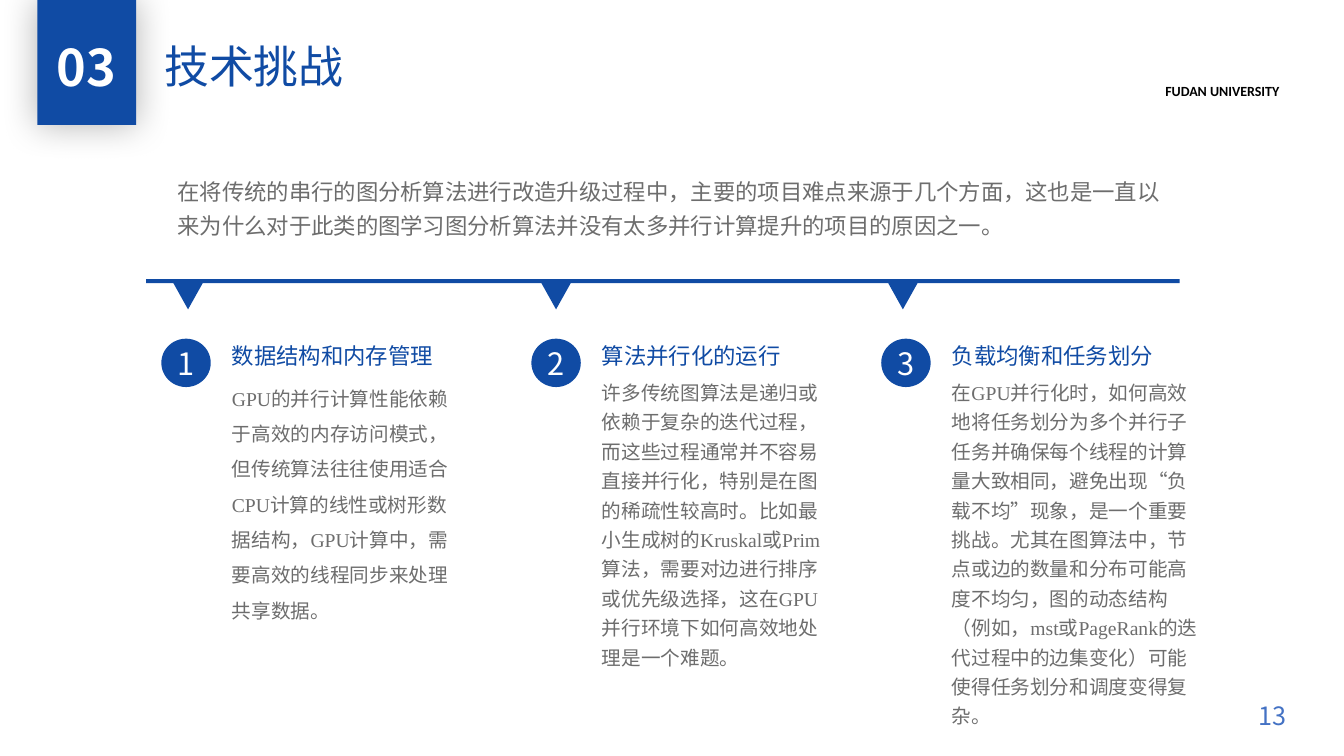
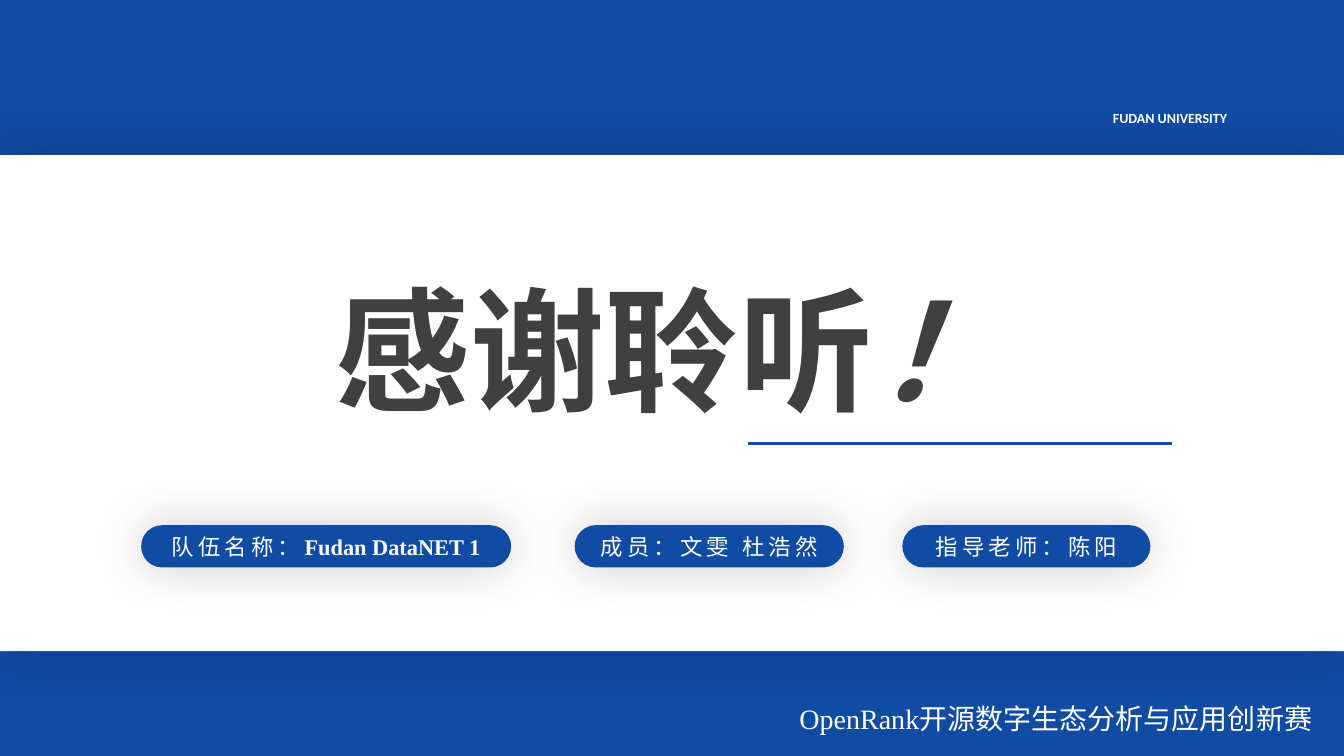
from lxml import etree
from pptx import Presentation
from pptx.dml.color import RGBColor
from pptx.enum.shapes import MSO_CONNECTOR, MSO_SHAPE
from pptx.enum.text import MSO_ANCHOR, MSO_AUTO_SIZE, PP_ALIGN
from pptx.oxml.ns import qn
from pptx.util import Inches, Pt

BLUE = RGBColor(0x10, 0x4B, 0xA4)
PAGE_BLUE = RGBColor(0x44, 0x72, 0xC4)
WHITE = RGBColor(0xFF, 0xFF, 0xFF)
BLACK = RGBColor(0x00, 0x00, 0x00)
GREY = RGBColor(0x6D, 0x6D, 0x6D)
DARK = RGBColor(0x40, 0x40, 0x40)

SANS = "Noto Sans CJK SC"
HEADING = "Noto Sans CJK TC"
SERIF = "Times New Roman"
LABEL = "Calibri"

RECTANGLE = MSO_SHAPE.RECTANGLE
PILL = MSO_SHAPE.ROUNDED_RECTANGLE
CIRCLE = MSO_SHAPE.OVAL
POINTER = MSO_SHAPE.FLOWCHART_MERGE
STRAIGHT = MSO_CONNECTOR.STRAIGHT
TOP, MIDDLE = MSO_ANCHOR.TOP, MSO_ANCHOR.MIDDLE
LEFT, CENTER, RIGHT = PP_ALIGN.LEFT, PP_ALIGN.CENTER, PP_ALIGN.RIGHT
JUSTIFY = PP_ALIGN.JUSTIFY
NO_AUTOFIT = MSO_AUTO_SIZE.NONE

SLIDE_WIDTH, SLIDE_HEIGHT = 13.33, 7.5

INTRODUCTION = (
    "在将传统的串行的图分析算法进行改造升级过程中，主要的项目难点来源于几个方面，"
    "这也是一直以来为什么对于此类的图学习图分析算法并没有太多并行计算提升的项目的原因之一。"
)

# Column left, pointer left, heading width, text width, line spacing, heading, text runs
CHALLENGES = [
    (1.6, 1.72, 2.03, 2.29, 1.5, "数据结构和内存管理", [
        "GPU",
        "的并行计算性能依赖于高效的内存访问模式，但传统算法往往使用适合",
        "CPU",
        "计算的线性或树形数据结构，",
        "GPU",
        "计算中，需要高效的线程同步来处理共享数据。",
    ]),
    (5.27, 5.37, 2.03, 2.26, 1.25, "算法并行化的运行", [
        "许多传统图算法是递归或依赖于复杂的迭代过程，而这些过程通常并不容易直接并行化，"
        "特别是在图的稀疏性较高时。比如最小生成树的",
        "Kruskal",
        "或",
        "Prim",
        "算法，需要对边进行排序或优先级选择，这在",
        "GPU",
        "并行环境下如何高效地处理是一个难题。",
    ]),
    (8.74, 8.81, 2.35, 2.51, 1.25, "负载均衡和任务划分", [
        "在",
        "GPU",
        "并行化时，如何高效地将任务划分为多个并行子任务并确保每个线程的计算量大致相同，"
        "避免出现“负载不均”现象，是一个重要挑战。尤其在图算法中，"
        "节点或边的数量和分布可能高度不均匀，图的动态结构（例如，",
        "mst",
        "或",
        "PageRank",
        "的迭代过程中的边集变化）可能使得任务划分和调度变得复杂。",
    ]),
]

# Left, width, text runs
CREDITS = [
    (1.4, 3.67, ["队伍名称：", "Fudan DataNET 1"]),
    (5.7, 2.67, ["成员：文雯 杜浩然"]),
    (8.95, 2.46, ["指导老师：陈阳"]),
]


def set_values(target, values):
    for name, value in values.items():
        setattr(target, name, value)


def place(shape, box):
    names = ("left", "top", "width", "height")
    set_values(shape, {name: Inches(length) for name, length in zip(names, box)})


def add_run(paragraph, text, font_name, size, colour, bold):
    """Add a run whose Latin and East Asian typefaces are the same."""
    run = paragraph.add_run()
    run.text = text
    set_values(run.font, {"name": font_name, "size": Pt(size), "bold": bold})
    run.font.color.rgb = colour
    latin = run.font._element.find(qn("a:latin"))
    east_asian = etree.Element(qn("a:ea"), typeface=font_name)
    latin.addnext(east_asian)
    return run


def write(shape, texts, size, colour, font=None, bold=False, align=LEFT,
          spacing=1.0, anchor=TOP, inset=None):
    """Fill a shape with one paragraph; plain ASCII runs are serif unless font is given."""
    frame = shape.text_frame
    set_values(frame, {"word_wrap": True, "auto_size": NO_AUTOFIT,
                       "vertical_anchor": anchor})
    horizontal, vertical = (0.1, 0.05) if inset is None else (inset, inset)
    set_values(frame, {"margin_left": Inches(horizontal), "margin_right": Inches(horizontal),
                       "margin_top": Inches(vertical), "margin_bottom": Inches(vertical)})
    paragraph = frame.paragraphs[0]
    set_values(paragraph, {"alignment": align, "line_spacing": spacing,
                           "space_before": Pt(0)})
    return [
        add_run(paragraph, text, font or (SERIF if text.isascii() else SANS),
                size, colour, bold)
        for text in texts
    ]


def add_text(slide, box, texts, size, colour, **style):
    text_box = slide.shapes.add_textbox(*map(Inches, box))
    return write(text_box, texts, size, colour, **style)


def add_block(slide, kind, box, colour):
    """Add a flat shape without outline or shadow."""
    shape = slide.shapes.add_shape(kind, *map(Inches, box))
    shape.shadow.inherit = False
    shape.fill.solid()
    shape.fill.fore_color.rgb = colour
    shape.line.fill.background()
    return shape


def add_glow(shape, blur, opacity):
    """Give a shape a soft black shadow on all sides."""
    effects = shape._element.spPr.find(qn("a:effectLst"))
    shadow = etree.SubElement(effects, qn("a:outerShdw"), blurRad=str(Pt(blur)),
                              dist="0", dir="0", algn="ctr", rotWithShape="0")
    black = etree.SubElement(shadow, qn("a:srgbClr"), val=str(BLACK))
    etree.SubElement(black, qn("a:alpha"), val=str(opacity * 1000))


def add_university(slide, box, colour):
    add_text(slide, box, ["FUDAN UNIVERSITY"], 10, colour, font=LABEL, bold=True,
             align=JUSTIFY)


def add_header(slide, number, title):
    tab = add_block(slide, RECTANGLE, (0.37, 0, 0.98, 1.24), BLUE)
    add_glow(tab, 26, 30)
    add_text(slide, (0.32, 0.31, 1.07, 0.71), [number], 36, WHITE, font=SANS,
             bold=True, align=CENTER)
    place(slide.shapes.title, (1.53, 0.33, 3.97, 0.64))
    write(slide.shapes.title, [title], 32, BLUE)
    add_university(slide, (11.46, 0.77, 1.4, 0.27), BLACK)


def add_introduction(body, box):
    place(body, box)
    properties = body.text_frame.paragraphs[0]._p.get_or_add_pPr()
    properties.set("marL", "0")
    properties.set("indent", "0")
    etree.SubElement(properties, qn("a:buNone"))
    write(body, [INTRODUCTION], 16, GREY, spacing=1.25, inset=0)


def add_challenge(slide, number, top, challenge):
    left, pointer_left, heading_width, text_width, spacing, heading, texts = challenge
    add_block(slide, POINTER, (pointer_left, top, 0.29, 0.26), BLUE)
    badge = add_block(slide, CIRCLE, (left, top + 0.55, 0.49, 0.48), BLUE)
    write(badge, [str(number)], 22, WHITE, font=HEADING, align=CENTER,
          anchor=MIDDLE, inset=0)
    text_left = left + 0.7
    add_text(slide, (text_left, top + 0.57, heading_width, 0.32), [heading], 16, BLUE,
             font=HEADING, spacing=0.9, anchor=MIDDLE, inset=0)
    add_text(slide, (text_left, top + 0.91, text_width, 0.99), texts, 14, GREY,
             spacing=spacing, inset=0)


def build_challenges(presentation):
    slide = presentation.slides.add_slide(presentation.slide_layouts[1])
    add_header(slide, "03", "技术挑战")
    add_introduction(slide.placeholders[1], (1.76, 1.7, 9.81, 0.79))
    add_block(slide, RECTANGLE, (1.45, 2.77, 10.25, 0.04), BLUE)
    for number, challenge in enumerate(CHALLENGES, 1):
        add_challenge(slide, number, 2.81, challenge)
    add_text(slide, (9.86, 6.9, 3, 0.4), ["13"], 18, PAGE_BLUE, font=SANS,
             align=RIGHT, anchor=MIDDLE)


def add_underline(slide, left, right, top):
    line = slide.shapes.add_connector(
        STRAIGHT, Inches(left), Inches(top), Inches(right), Inches(top))
    line.line.color.rgb = BLUE
    line.line.width = Pt(2)
    etree.SubElement(line._element.spPr, qn("a:effectLst"))


def add_credit(slide, box, texts):
    pill = add_block(slide, PILL, box, BLUE)
    pill.adjustments[0] = 0.5
    add_glow(pill, 36, 20)
    for run in write(pill, texts, 16, WHITE, align=CENTER, anchor=MIDDLE):
        if run.text.isascii():
            run.font.bold = True
        else:
            run.font._element.set("spc", "300")


def build_closing(presentation):
    slide = presentation.slides.add_slide(presentation.slide_layouts[5])
    slide.background.fill.solid()
    slide.background.fill.fore_color.rgb = BLUE

    panel = add_block(slide, RECTANGLE, (0, 1.54, SLIDE_WIDTH, 4.92), WHITE)
    add_glow(panel, 36, 18)
    title = slide.shapes.title
    panel._element.addnext(title._element)
    place(title, (0, 2.2, SLIDE_WIDTH, 1.94))
    runs = write(title, ["感谢聆听", "！"], 96, DARK, bold=True, align=CENTER,
                 spacing=1.25)
    runs[-1].font.italic = True

    add_university(slide, (10.94, 1.04, 1.85, 0.27), WHITE)
    add_underline(slide, 7.42, 11.62, 4.4)
    for left, width, texts in CREDITS:
        add_credit(slide, (left, 5.21, width, 0.42), texts)
    add_text(slide, (7.83, 6.91, 5.49, 0.44),
             ["OpenRank", "开源数字生态分析与应用创新赛"], 20, WHITE)


def main():
    presentation = Presentation()
    set_values(presentation, {"slide_width": Inches(SLIDE_WIDTH),
                              "slide_height": Inches(SLIDE_HEIGHT)})
    build_challenges(presentation)
    build_closing(presentation)
    presentation.save("out.pptx")


if __name__ == "__main__":
    main()
